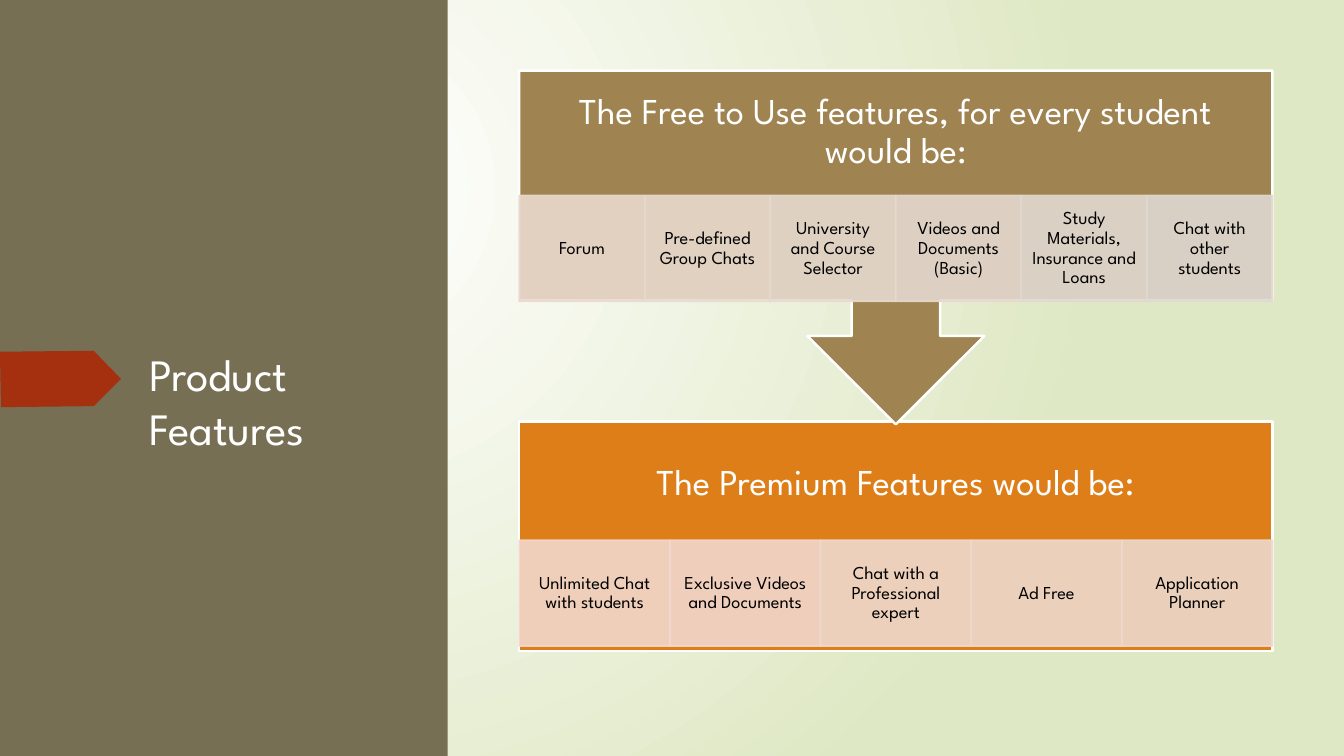
from lxml.etree import SubElement
from pptx import Presentation
from pptx.dml.color import RGBColor
from pptx.enum.shapes import MSO_SHAPE
from pptx.enum.text import MSO_ANCHOR, PP_ALIGN
from pptx.oxml.ns import qn
from pptx.util import Inches, Pt

FONT = "League Spartan"
OLIVE, RUST, BROWN, ORANGE = "766F54", "A53010", "9F8351", "DE7E18"
WHITE, BLACK, PALE_GREEN = "FFFFFF", "000000", "DFE8C4"
LEFT, WIDTH = 5.15, 7.47
CELL_HEIGHT = 1.05

FREE_FEATURES = [
    ("Forum", "EAD9CE"),
    ("Pre-defined Group Chats", "E8DACE"),
    ("University and Course Selector", "E6DACF"),
    ("Videos and Documents (Basic)", "E4D9CF"),
    ("Study Materials, Insurance and Loans", "E1D9D0"),
    ("Chat with other students", "DFD9D1"),
]
PREMIUM_FEATURES = [
    ("Unlimited Chat with students", "F2D8CC"),
    ("Exclusive Videos and Documents", "F1D8CD"),
    ("Chat with a Professional expert", "EFD9CD"),
    ("Ad Free", "EDD9CD"),
    ("Application Planner", "ECD9CD"),
]


def paint(color_format, color):
    """Set a fill, line or font colour from a hex string."""
    color_format.rgb = RGBColor.from_string(color)


def paint_background(slide):
    """Fill the slide with a circular gradient from white to pale green."""
    fill = slide.background.fill
    fill.gradient()
    for stop, color in zip(fill.gradient_stops, (WHITE, PALE_GREEN)):
        paint(stop.color, color)
    gradient = next(slide.element.iter(qn("a:gradFill")))
    gradient.remove(gradient.find(qn("a:lin")))
    circle = SubElement(gradient, qn("a:path"), path="circle")
    SubElement(circle, qn("a:fillToRect"), l="50000", t="50000", r="100000", b="100000")


def style_shape(shape, color, outline=None, line_width=1.75):
    """Give a shape a solid fill, an optional outline and no shadow."""
    shape.shadow.inherit = False
    shape.fill.solid()
    paint(shape.fill.fore_color, color)
    if outline:
        paint(shape.line.color, outline)
        shape.line.width = Pt(line_width)
    else:
        shape.line.fill.background()


def add_block(slide, box, color, outline=None, line_width=1.75, kind=MSO_SHAPE.RECTANGLE):
    """Add a filled preset shape at the given left, top, width and height."""
    block = slide.shapes.add_shape(kind, *map(Inches, box))
    style_shape(block, color, outline, line_width)
    return block


def write(shape, text, size, color, margins=(0.1, 0.05), centred=True):
    """Write one wrapped paragraph into a shape or text box."""
    frame = shape.text_frame
    frame.word_wrap = True
    frame.margin_left = frame.margin_right = Inches(margins[0])
    frame.margin_top = frame.margin_bottom = Inches(margins[1])
    frame.vertical_anchor = MSO_ANCHOR.MIDDLE if centred else MSO_ANCHOR.TOP
    frame.text = text
    paragraph = frame.paragraphs[0]
    paragraph.alignment = PP_ALIGN.CENTER if centred else PP_ALIGN.LEFT
    if centred:
        paragraph.line_spacing = 0.9
    paragraph.font.name = FONT
    paragraph.font.size = Pt(size)
    paint(paragraph.font.color, color)


def add_heading(slide, text, top):
    """Add the white heading of a feature group."""
    heading = slide.shapes.add_textbox(*map(Inches, (LEFT, top, WIDTH, 1.23)))
    write(heading, text, 26, WHITE, margins=(0.2, 0.2))


def add_feature_row(slide, features, top):
    """Divide the group width equally among translucent feature cells."""
    cell_width = WIDTH / len(features)
    for column, (feature, tint) in enumerate(features):
        box = (LEFT + column * cell_width, top, cell_width, CELL_HEIGHT)
        cell = add_block(slide, box, tint, tint, 1.25)
        for color in cell.element.spPr.iter(qn("a:srgbClr")):
            SubElement(color, qn("a:alpha"), val="90000")
        write(cell, feature, 13, BLACK, margins=(0.1, 0.02))


def add_title_panel(slide):
    """Add the olive side panel with its title and rust pointer."""
    add_block(slide, (0, 0, 4.44, 7.5), OLIVE)
    title = slide.shapes.add_textbox(*map(Inches, (1.38, 3.39, 2.68, 3.31)))
    write(title, "Product Features", 32, WHITE, centred=False)
    builder = slide.shapes.build_freeform(0, 349, scale=Inches(0.01))
    builder.add_line_segments([(93, 348), (120, 376), (93, 403), (1, 404)])
    style_shape(builder.convert_to_shape(), RUST)


def main():
    """Build the product features slide and save it."""
    deck = Presentation()
    deck.slide_width, deck.slide_height = Inches(13.33), Inches(7.5)
    slide = deck.slides.add_slide(deck.slide_layouts[6])
    paint_background(slide)
    add_title_panel(slide)

    add_block(slide, (LEFT, 4.18, WIDTH, 2.28), ORANGE, WHITE)
    add_heading(slide, "The Premium Features would be:", 4.18)
    add_feature_row(slide, PREMIUM_FEATURES, 5.36)

    callout = add_block(slide, (LEFT, 0.7, WIDTH, 3.51), BROWN, WHITE,
                        kind=MSO_SHAPE.UP_ARROW_CALLOUT)
    callout.rotation = 180
    add_heading(slide, "The Free to Use features, for every student would be:", 0.7)
    add_feature_row(slide, FREE_FEATURES, 1.94)
    deck.save("out.pptx")


main()
